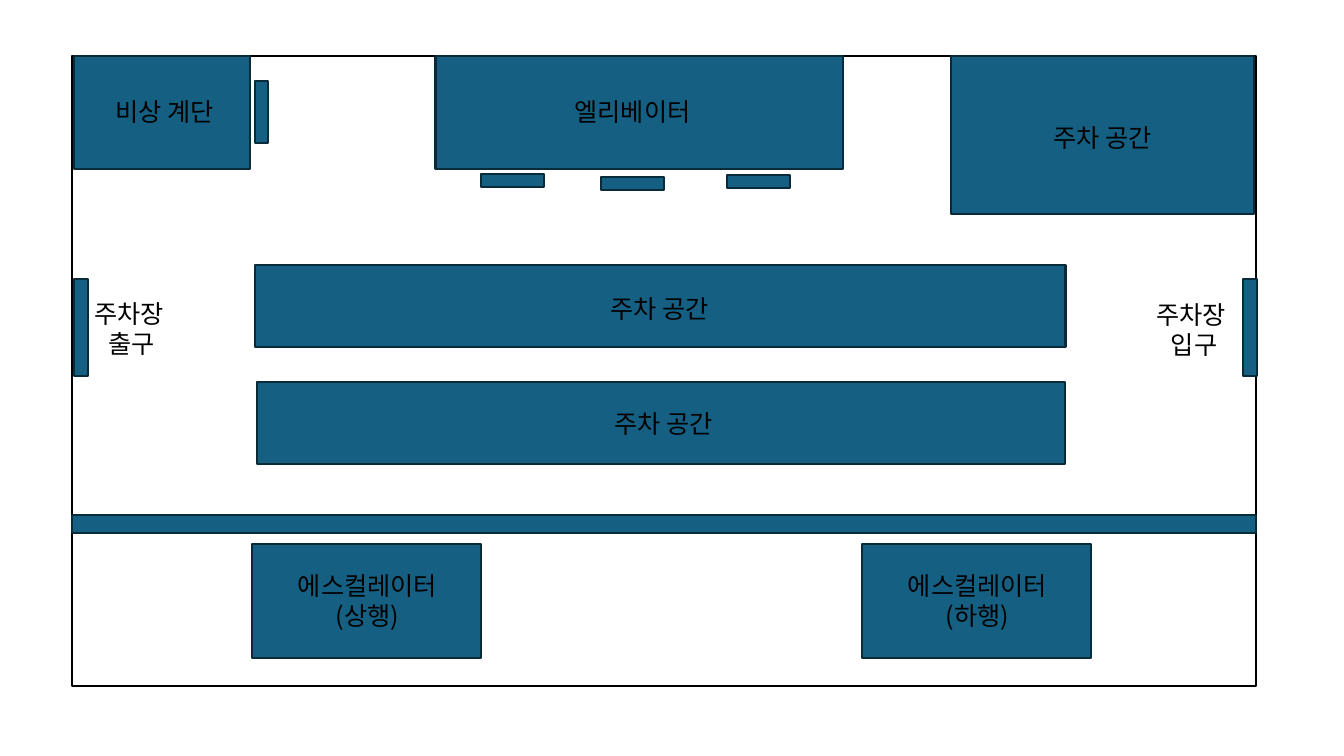
import pptx
import pptx.dml.color
import pptx.enum.shapes
import pptx.enum.text
import pptx.oxml.ns
import pptx.util
from lxml import etree


class FloorPlan:
    COLORS = {"paper": "FFFFFF", "ink": "000000", "block": "156082", "edge": "092A39"}
    FONT = "Noto Sans CJK KR"
    TEXT_SIZE = pptx.util.Pt(18)
    LINE_WIDTH = pptx.util.Pt(1.5)
    LABEL_WIDTH = 13.13
    LABEL_HEIGHTS = {1: 5.33, 2: 9.47}

    def __init__(self, deck):
        self.width, self.height = deck.slide_width, deck.slide_height
        self.slide = deck.slides.add_slide(deck.slide_layouts[6])

    def color(self, name):
        return pptx.dml.color.RGBColor.from_string(self.COLORS[name])

    def place(self, left, top, width, height):
        return (round(self.width * left / 100), round(self.height * top / 100),
                round(self.width * width / 100), round(self.height * height / 100))

    def block(self, left, top, width, height, fill="block", edge="edge"):
        block = self.slide.shapes.add_shape(
            pptx.enum.shapes.MSO_SHAPE.RECTANGLE, *self.place(left, top, width, height))
        block.shadow.inherit = False
        block.fill.solid()
        block.fill.fore_color.rgb = self.color(fill)
        block.line.color.rgb = self.color(edge)
        block.line.width = self.LINE_WIDTH

    def label(self, left, top, *paragraphs, rows=1):
        area = self.place(left, top, self.LABEL_WIDTH, self.LABEL_HEIGHTS[rows])
        frame = self.slide.shapes.add_textbox(*area).text_frame
        frame.word_wrap = True
        frame.auto_size = pptx.enum.text.MSO_AUTO_SIZE.SHAPE_TO_FIT_TEXT
        for index, words in enumerate(paragraphs):
            paragraph = frame.add_paragraph() if index else frame.paragraphs[0]
            paragraph.alignment = pptx.enum.text.PP_ALIGN.CENTER
            run = paragraph.add_run()
            run.text = words
            run.font.size = self.TEXT_SIZE
            run.font.color.rgb = self.color("ink")
            run.font.name = self.FONT
            east_asian = etree.SubElement(run.font._element, pptx.oxml.ns.qn("a:ea"))
            east_asian.set("typeface", self.FONT)


def main():
    deck = pptx.Presentation()
    deck.slide_width = pptx.util.Inches(13.333)
    deck.slide_height = pptx.util.Inches(7.5)
    plan = FloorPlan(deck)

    hall_left, hall_top, hall_width = 5.33, 7.47, 88.13
    plan.block(hall_left, hall_top, hall_width, 83.33, fill="paper", edge="ink")
    plan.block(hall_left, 68.13, hall_width, 2.4)

    plan.block(5.48, hall_top, 13.13, 14.93)
    plan.block(18.98, 10.67, 0.98, 8.27)
    plan.label(5.7, 12.13, "비상 계단")

    plan.block(32.4, hall_top, 30.3, 14.93)
    plan.label(40.5, 12.13, "엘리베이터")
    for door_left, door_top in ((35.81, 23), (44.74, 23.4), (54.11, 23.13)):
        plan.block(door_left, door_top, 4.65, 1.73)

    for escalator_left, direction in ((18.75, "상행"), (64.13, "하행")):
        plan.block(escalator_left, 72, 17.03, 15.07)
        plan.label(escalator_left + 2.03, 74.8, f"에스컬레이터({direction})", rows=2)

    for gate_left, sign_left, sign_top, gate in (
            (5.48, 3.23, 38.8, "출구"), (92.48, 82.28, 38.93, "입구")):
        plan.block(gate_left, 36.93, 1.05, 12.8)
        plan.label(sign_left, sign_top, "주차장 ", gate, rows=2)

    for parking, sign in (
            ((18.98, 35.07, 60.3, 10.8), (42.53, 38.13)),
            ((19.13, 50.53, 60.15, 10.8), (42.83, 53.33)),
            ((70.73, hall_top, 22.58, 20.8), (75.45, 15.47))):
        plan.block(*parking)
        plan.label(*sign, "주차 공간")

    deck.save("out.pptx")


if __name__ == "__main__":
    main()
